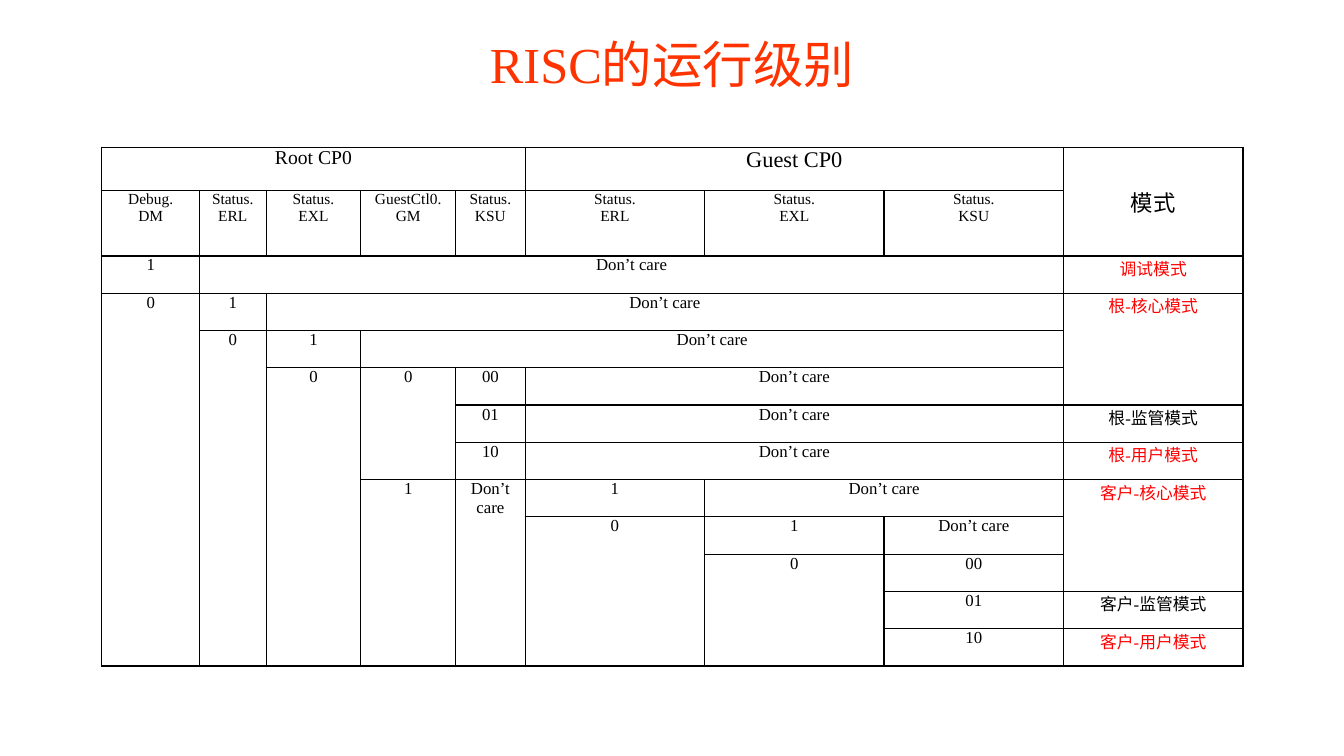
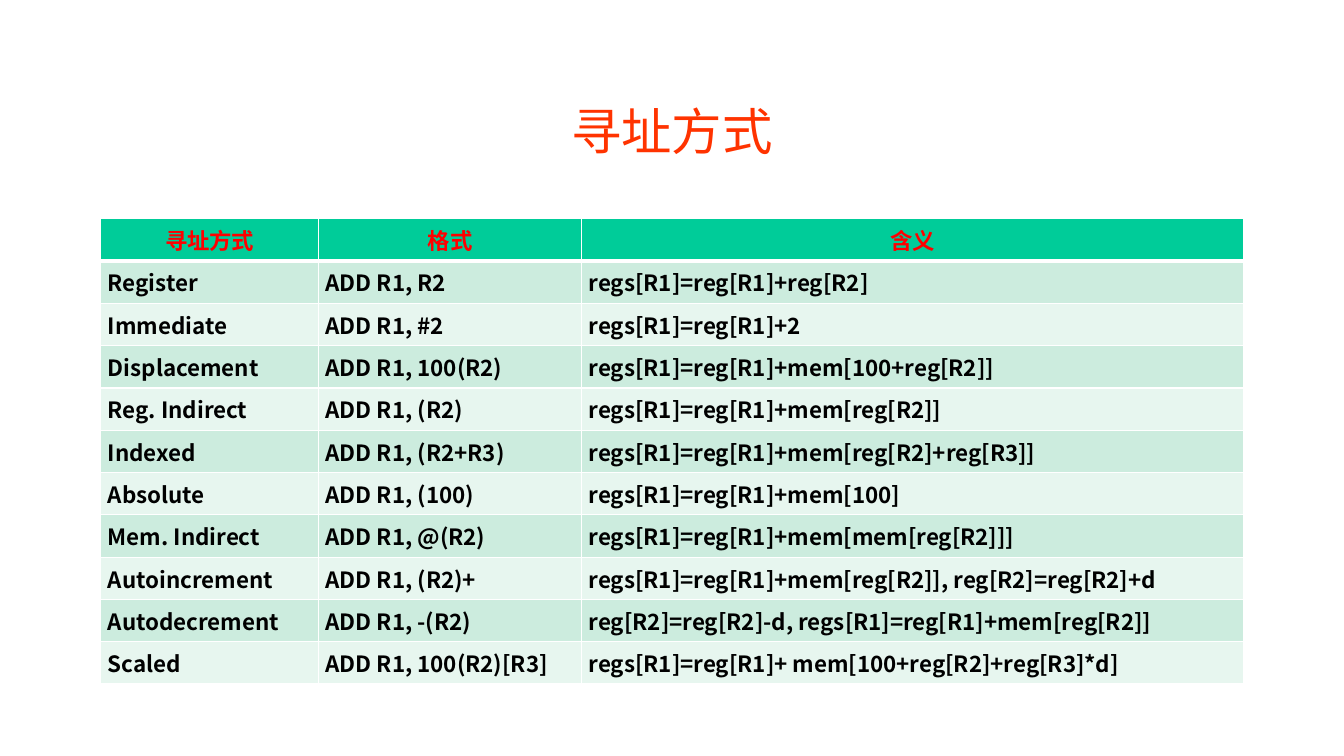
import pptx
import pptx.util
import pptx.dml.color
import pptx.enum.text
import pptx.oxml
import pptx.oxml.ns
from pptx.util import Inches

LATIN_FONT = "Times New Roman"
CHINESE_FONT = "Noto Sans CJK SC"
TITLE_COLOR = "FF3300"
RED = "FF0000"
BLACK = "000000"
WHITE = "FFFFFF"
HEADER_FILL = "00CC99"
BAND_FILLS = ("CCECDE", "E7F6EF")

LEFT = "<"
UP = "^"
ANY = "Don’t care"

LEVELS_TITLE = "RISC的运行级别"
LEVEL_ROWS = [
    ["Root CP0", LEFT, LEFT, LEFT, LEFT, "Guest CP0", LEFT, LEFT, "模式"],
    ["Debug.\nDM", "Status.\nERL", "Status.\nEXL", "GuestCtl0.\nGM", "Status.\nKSU",
     "Status.\nERL", "Status.\nEXL", "Status.\nKSU", UP],
    ["1", ANY, LEFT, LEFT, LEFT, LEFT, LEFT, LEFT, "调试模式"],
    ["0", "1", ANY, LEFT, LEFT, LEFT, LEFT, LEFT, "根-核心模式"],
    [UP, "0", "1", ANY, LEFT, LEFT, LEFT, LEFT, UP],
    [UP, UP, "0", "0", "00", ANY, LEFT, LEFT, UP],
    [UP, UP, UP, UP, "01", ANY, LEFT, LEFT, "根-监管模式"],
    [UP, UP, UP, UP, "10", ANY, LEFT, LEFT, "根-用户模式"],
    [UP, UP, UP, "1", "Don’t\ncare", "1", ANY, LEFT, "客户-核心模式"],
    [UP, UP, UP, UP, UP, "0", "1", ANY, UP],
    [UP, UP, UP, UP, UP, UP, "0", "00", UP],
    [UP, UP, UP, UP, UP, UP, UP, "01", "客户-监管模式"],
    [UP, UP, UP, UP, UP, UP, UP, "10", "客户-用户模式"],
]
LEVEL_WIDTHS = [0.97, 0.66, 0.94, 0.94, 0.69] + [1.78] * 4
LEVEL_HEIGHTS = [0.43, 0.65] + [0.37] * 11
LEVEL_SIZES = {"Root CP0": 14, "Guest CP0": 16, "模式": 16}
RED_MODES = {"调试模式", "根-核心模式", "根-用户模式", "客户-核心模式", "客户-用户模式"}

ADDRESSING_TITLE = "寻址方式"
ADDRESSING_ROWS = [
    ["寻址方式", "格式", "含义"],
    ["Register", "ADD R1, R2", "regs[R1]=reg[R1]+reg[R2]"],
    ["Immediate", "ADD R1, #2", "regs[R1]=reg[R1]+2"],
    ["Displacement", "ADD R1, 100(R2)", "regs[R1]=reg[R1]+mem[100+reg[R2]]"],
    ["Reg. Indirect", "ADD R1, (R2)", "regs[R1]=reg[R1]+mem[reg[R2]]"],
    ["Indexed", "ADD R1, (R2+R3)", "regs[R1]=reg[R1]+mem[reg[R2]+reg[R3]]"],
    ["Absolute", "ADD R1, (100)", "regs[R1]=reg[R1]+mem[100]"],
    ["Mem. Indirect", "ADD R1, @(R2)", "regs[R1]=reg[R1]+mem[mem[reg[R2]]]"],
    ["Autoincrement", "ADD R1, (R2)+", "regs[R1]=reg[R1]+mem[reg[R2]], reg[R2]=reg[R2]+d"],
    ["Autodecrement", "ADD R1, -(R2)", "reg[R2]=reg[R2]-d, regs[R1]=reg[R1]+mem[reg[R2]]"],
    ["Scaled", "ADD R1, 100(R2)[R3]", "regs[R1]=reg[R1]+ mem[100+reg[R2]+reg[R3]*d]"],
]
ADDRESSING_WIDTHS = [2.16, 2.61, 6.56]
ADDRESSING_HEIGHTS = [0.42] * len(ADDRESSING_ROWS)


def rgb(color):
    return pptx.dml.color.RGBColor.from_string(color)


def format_text(text_frame, size, color, font=LATIN_FONT, bold=False, centered=True):
    alignment = pptx.enum.text.PP_ALIGN
    for paragraph in text_frame.paragraphs:
        paragraph.alignment = alignment.CENTER if centered else alignment.LEFT
        for run in paragraph.runs:
            run.font.size = pptx.util.Pt(size)
            run.font.name = font
            run.font.bold = bold
            run.font.color.rgb = rgb(color)
            east_asian = pptx.oxml.parse_xml(
                f'<a:ea {pptx.oxml.ns.nsdecls("a")} typeface="{CHINESE_FONT}"/>')
            run.font._element.find(pptx.oxml.ns.qn("a:latin")).addnext(east_asian)


def add_titled_slide(presentation, title, top):
    slide = presentation.slides.add_slide(presentation.slide_layouts[5])
    shape = slide.shapes.title
    shape.left, shape.top = Inches(1), Inches(top)
    shape.width, shape.height = Inches(11.33), Inches(1.25)
    shape.text_frame.text = title
    shape.text_frame.vertical_anchor = pptx.enum.text.MSO_ANCHOR.MIDDLE
    format_text(shape.text_frame, 36, TITLE_COLOR)
    return slide


def add_grid(slide, left, top, widths, heights):
    frame = slide.shapes.add_table(
        len(heights), len(widths), Inches(left), Inches(top),
        Inches(sum(widths)), Inches(sum(heights)))
    table = frame.table
    table.first_row = False
    table.horz_banding = False
    for column, width in zip(table.columns, widths):
        column.width = Inches(width)
    for row, height in zip(table.rows, heights):
        row.height = Inches(height)
    return table


def style_cell(cell, border, inset, fill=None, bottom=1):
    properties = cell._tc.get_or_add_tcPr()
    for side in "LRTB":
        width = pptx.util.Pt(bottom if side == "B" else 1)
        properties.append(pptx.oxml.parse_xml(
            f'<a:ln{side} {pptx.oxml.ns.nsdecls("a")} w="{width}"><a:solidFill>'
            f'<a:srgbClr val="{border}"/></a:solidFill></a:ln{side}>'))
    if fill:
        cell.fill.solid()
        cell.fill.fore_color.rgb = rgb(fill)
    else:
        cell.fill.background()
    cell.margin_left = cell.margin_right = Inches(inset)
    cell.margin_top = cell.margin_bottom = 0


def count_markers(values, marker):
    count = 0
    while count < len(values) and values[count] == marker:
        count += 1
    return count


def build_levels(presentation):
    slide = add_titled_slide(presentation, LEVELS_TITLE, 0)
    table = add_grid(slide, 1.01, 1.46, LEVEL_WIDTHS, LEVEL_HEIGHTS)
    for row, texts in enumerate(LEVEL_ROWS):
        for column, text in enumerate(texts):
            cell = table.cell(row, column)
            style_cell(cell, BLACK, 0 if row == 1 else 0.1)
            if text in (LEFT, UP):
                continue
            cell.text_frame.text = text
            size = LEVEL_SIZES.get(text, 11 if row == 1 else 12)
            format_text(cell.text_frame, size, RED if text in RED_MODES else BLACK)
            if text == "模式":
                cell.vertical_anchor = pptx.enum.text.MSO_ANCHOR.MIDDLE
            across = count_markers(texts[column + 1:], LEFT)
            down = count_markers([below[column] for below in LEVEL_ROWS[row + 1:]], UP)
            if across or down:
                cell.merge(table.cell(row + down, column + across))


def build_addressing(presentation):
    slide = add_titled_slide(presentation, ADDRESSING_TITLE, 0.67)
    table = add_grid(slide, 1, 2.17, ADDRESSING_WIDTHS, ADDRESSING_HEIGHTS)
    table.first_row = True
    for row, texts in enumerate(ADDRESSING_ROWS):
        header = row == 0
        fill = HEADER_FILL if header else BAND_FILLS[(row - 1) % 2]
        for column, text in enumerate(texts):
            cell = table.cell(row, column)
            style_cell(cell, WHITE, 0.07, fill, bottom=3 if header else 1)
            cell.vertical_anchor = pptx.enum.text.MSO_ANCHOR.MIDDLE
            cell.text_frame.text = text
            format_text(cell.text_frame, 16, RED if header else BLACK,
                        CHINESE_FONT, bold=True, centered=header)


def main():
    presentation = pptx.Presentation()
    presentation.slide_width = Inches(13.33)
    presentation.slide_height = Inches(7.5)
    build_levels(presentation)
    build_addressing(presentation)
    presentation.save("out.pptx")


if __name__ == "__main__":
    main()
